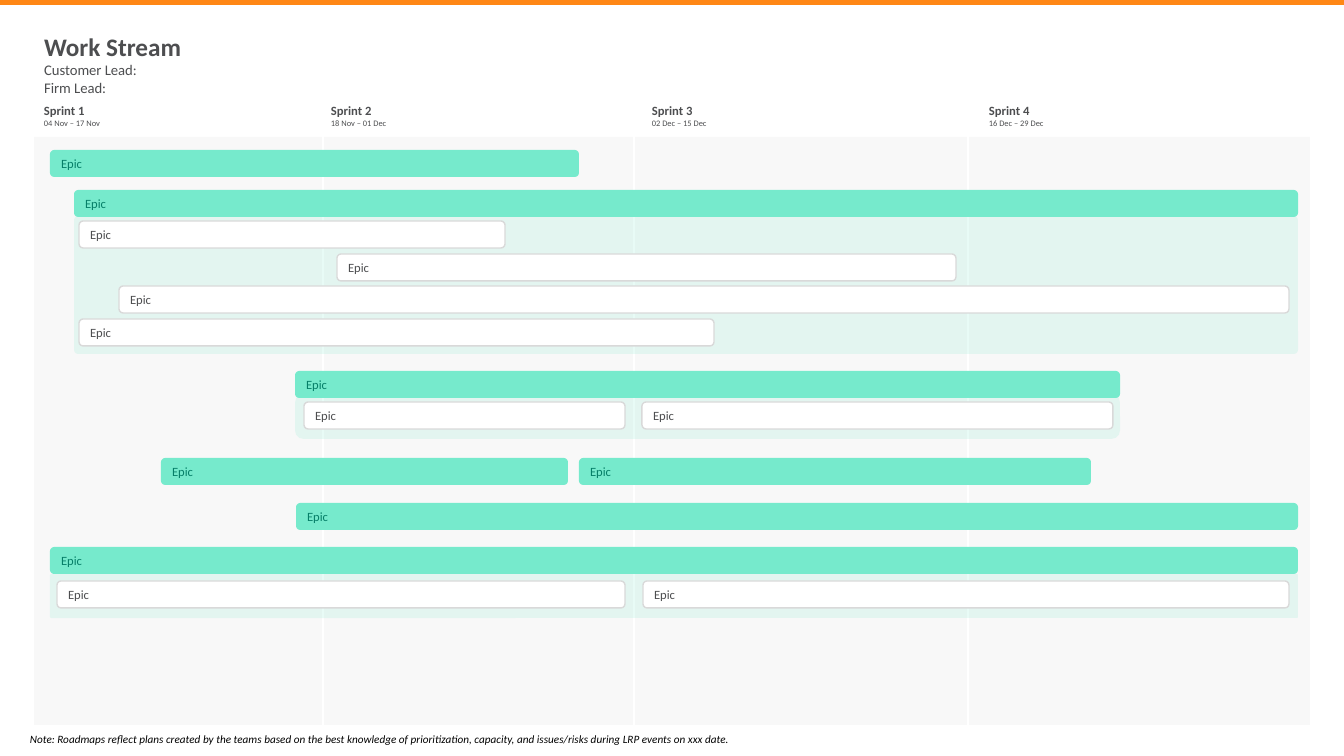
"""Build a sprint roadmap slide with epic bars, panels and cards."""
from lxml import etree
from pptx import Presentation
from pptx.dml.color import RGBColor
from pptx.enum import shapes, text
from pptx.oxml.ns import qn
from pptx.util import Emu, Pt

PX = 12192000 / 1344
HUE = {"ink": "4D4E50", "teal": "067F68", "mint": "76EACC", "white": "FFFFFF",
       "edge": "D9D9D9", "grey": "F2F2F2", "orange": "FF8715", "black": "000000"}

HEAD = [("Work Stream", 18, True), ("Customer Lead:", 10.5, False),
        ("Firm Lead:", 10.5, False)]
SPRINTS = [(34, "Sprint 1", "04 Nov – 17 Nov"), (321, "Sprint 2", "18 Nov – 01 Dec"),
           (642, "Sprint 3", "02 Dec – 15 Dec"), (979, "Sprint 4", "16 Dec – 29 Dec")]
NOTE = ("Note: Roadmaps reflect plans created by the teams based on the best knowledge of "
        "prioritization, capacity, and issues/risks during LRP events on xxx date.")
SPLITS = [323, 634, 968]
BARS = [("Epic", 50, 150, 529), ("Epic", 74, 190, 1224), ("Epic", 295, 371, 825),
        ("Epic", 50, 547, 1248), ("Epic", 161, 458, 407), ("Epic", 579, 458, 512),
        ("Epic", 296, 503, 1002)]
PANELS = [(74, 216, 1224, 138, 0.03), (295, 394, 825, 45, 0.19), (50, 574, 1248, 44, 0.03)]
CARDS = [("Epic", 119, 286, 1170), ("Epic", 79, 221, 426), ("Epic", 337, 254, 619),
         ("Epic", 79, 319, 635), ("Epic", 304, 402, 321), ("Epic", 642, 402, 471),
         ("Epic", 57, 581, 568), ("Epic", 643, 581, 646)]
TALL = 27


def px(*nums):
    return [Emu(round(n * PX)) for n in nums]


def rgb(name):
    return RGBColor.from_string(HUE[name])


def write(frame, rows, hue="ink", italic=False, wrap=True, mid=False, fit=False):
    frame.word_wrap = wrap
    frame.auto_size = text.MSO_AUTO_SIZE.SHAPE_TO_FIT_TEXT if fit else text.MSO_AUTO_SIZE.NONE
    frame.vertical_anchor = text.MSO_ANCHOR.MIDDLE if mid else text.MSO_ANCHOR.TOP
    for i, (words, size, bold) in enumerate(rows):
        para = frame.paragraphs[0] if i == 0 else frame.add_paragraph()
        para.alignment = text.PP_ALIGN.LEFT
        run = para.add_run()
        run.text = words
        font = run.font
        font.name, font.size, font.bold, font.italic = "Calibri", Pt(size), bold, italic
        font.color.rgb = rgb(hue)


def block(slide, box, fill, adj=None, alpha=None, edge=None):
    kind = shapes.MSO_SHAPE.RECTANGLE if adj is None else shapes.MSO_SHAPE.ROUNDED_RECTANGLE
    shape = slide.shapes.add_shape(kind, *px(*box))
    shape.shadow.inherit = False
    if adj is not None:
        shape.adjustments[0] = adj
    shape.fill.solid()
    shape.fill.fore_color.rgb = rgb(fill)
    if alpha:
        tint = shape.fill._xPr.find(qn("a:solidFill"))[0]
        etree.SubElement(tint, qn("a:alpha"), val=str(alpha * 1000))
    if edge:
        shape.line.color.rgb = rgb(edge)
        shape.line.width = Pt(1)
    else:
        shape.line.fill.background()
    return shape


def label(slide, box, rows, **style):
    area = slide.shapes.add_textbox(*px(*box))
    write(area.text_frame, rows, fit=True, **style)


def main():
    deck = Presentation()
    deck.slide_width, deck.slide_height = px(1344, 756)
    slide = deck.slides.add_slide(deck.slide_layouts[5])

    title = slide.shapes.title
    title.left, title.top, title.width, title.height = px(34, 26, 177, 77)
    write(title.text_frame, HEAD, wrap=False, fit=True)

    block(slide, (34, 137, 1276, 588), "grey", alpha=50)
    for x in SPLITS:
        line = slide.shapes.add_connector(shapes.MSO_CONNECTOR.STRAIGHT, *px(x, 90, x, 734))
        line.line.color.rgb = rgb("white")
        line.line.width = Pt(1.5)
        etree.SubElement(line._element.spPr, qn("a:effectLst"))
    block(slide, (0, 0, 1344, 5), "orange")

    for x, name, dates in SPRINTS:
        label(slide, (x, 98, 203, 35), [(name, 9, True), (dates, 6, False)])

    for name, x, y, wide in BARS:
        bar = block(slide, (x, y, wide, TALL), "mint", adj=0.15)
        write(bar.text_frame, [(name, 9, False)], hue="teal", mid=True)
    for *box, adj in PANELS:
        block(slide, box, "mint", adj=adj, alpha=16)
    for name, x, y, wide in CARDS:
        card = block(slide, (x, y, wide, TALL), "white", adj=0.15, edge="edge")
        write(card.text_frame, [(name, 9, False)], mid=True)

    label(slide, (20, 727, 731, 24), [(NOTE, 8, False)], hue="black", italic=True, wrap=False)
    deck.save("out.pptx")


if __name__ == "__main__":
    main()
